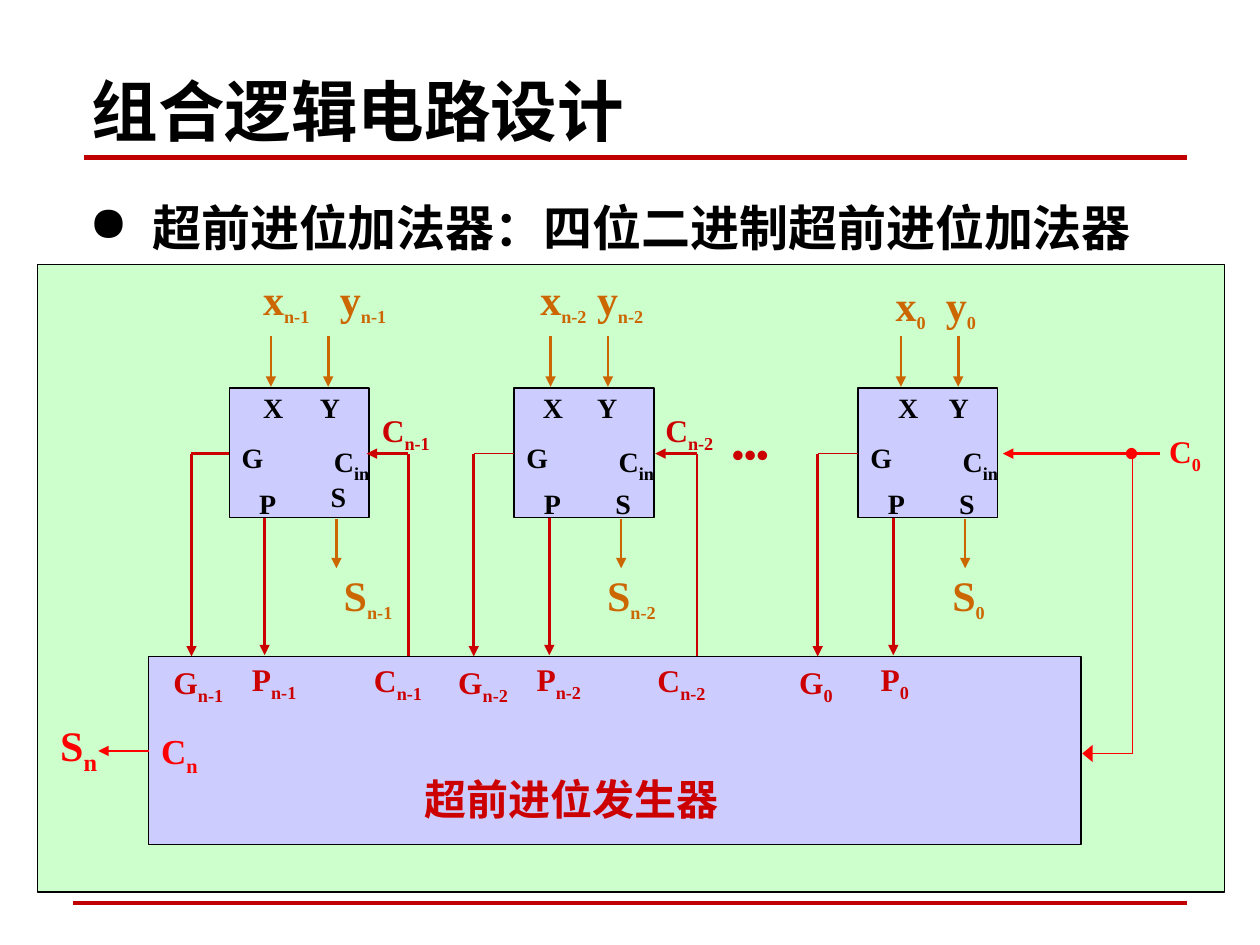
from dataclasses import dataclass

from lxml.etree import SubElement
from pptx import Presentation
from pptx.dml.color import RGBColor
from pptx.enum.shapes import MSO_CONNECTOR, MSO_SHAPE
from pptx.enum.text import MSO_ANCHOR, PP_ALIGN
from pptx.oxml.ns import qn
from pptx.util import Inches, Pt

COLORS = {
    "black": "000000", "rule": "C00000", "board": "CCFFCC", "block": "CCCCFF",
    "signal": "CC6600", "carry": "CC0000", "input": "FF0000",
}
COLUMNS, ROWS = 100, 75
LEFT, CENTER, RIGHT = PP_ALIGN.LEFT, PP_ALIGN.CENTER, PP_ALIGN.RIGHT

prs = Presentation()
prs.slide_width, prs.slide_height = Inches(10), Inches(7.5)
slide = prs.slides.add_slide(prs.slide_layouts[6])
column, row = prs.slide_width / COLUMNS, prs.slide_height / ROWS


@dataclass(frozen=True)
class Stage:
    """One adder bit; positions are columns counted from its left edge."""
    left: float
    index: str
    x_label: float
    y_label: float
    x_pin: float
    x_arrow: float
    y_pin: float
    sum_label: float
    g_wire: float
    g_weight: float = 0.75
    g_align: PP_ALIGN = CENTER
    operand_top: float = 21.2
    sum_top: float = 38.1


@dataclass(frozen=True)
class Carry:
    """Carry wire from the generator up to a stage, in columns."""
    index: str
    wire: float
    stage_edge: float
    upper_label: float
    lower_label: float
    weight: float


STAGES = [
    Stage(18.2, "n-1", 1.7, 7.8, 1.7, 3.3, 6.2, 8.1, -3, g_weight=1.5, sum_top=37.6),
    Stage(40.8, "n-2", 1.1, 5.6, 1.3, 2.9, 5.6, 6.4, -3.2),
    Stage(68.1, "0", 2, 6, 2.2, 3.4, 6.2, 6.5, -3.2, g_align=LEFT, operand_top=21.7),
]
CARRIES = [
    Carry("n-1", 32.4, 29.1, 27.9, 28.7, 1.5),
    Carry("n-2", 55.3, 52, 50.4, 51.2, 1),
]
BLOCK_TOP, BLOCK_BOTTOM, WIRE_ROW, GENERATOR_TOP = 30.8, 41.1, 36, 52.1


def rgb(color: str) -> RGBColor:
    return RGBColor.from_string(COLORS[color])


def add_text(text: str, left: float, top: float, width: float = 8, height: float = 4.7, *,
             sub: str = "", size: float = 18, sub_size: float = 18, color: str = "carry",
             align: PP_ALIGN = LEFT, font: str = "Times New Roman",
             anchor: MSO_ANCHOR = MSO_ANCHOR.TOP, bullet: str = "", spacing: float = 1) -> None:
    box = slide.shapes.add_textbox(
        round(left * column), round(top * row), round(width * column), round(height * row))
    frame = box.text_frame
    frame.word_wrap = True
    frame.vertical_anchor = anchor
    paragraph = frame.paragraphs[0]
    paragraph.alignment = align
    paragraph.line_spacing = spacing
    if bullet:
        properties = paragraph._p.get_or_add_pPr()
        properties.set("marL", str(Inches(0.5)))
        properties.set("indent", str(-Inches(0.5)))
        SubElement(properties, qn("a:buChar")).set("char", bullet)
    for part, points, baseline in ((text, size, 0), (sub, sub_size, -25000)):
        if not part:
            continue
        run = paragraph.add_run()
        run.text = part
        run.font.name, run.font.size, run.font.bold = font, Pt(points), True
        run.font.color.rgb = rgb(color)
        if baseline:
            run._r.get_or_add_rPr().set("baseline", str(baseline))


def add_block(left: float, top: float, width: float, height: float, fill: str,
              line: str = "black", kind: MSO_SHAPE = MSO_SHAPE.RECTANGLE) -> None:
    block = slide.shapes.add_shape(
        kind, round(left * column), round(top * row), round(width * column), round(height * row))
    block.shadow.inherit = False
    block.fill.solid()
    block.fill.fore_color.rgb = rgb(fill)
    block.line.color.rgb = rgb(line)
    block.line.width = Pt(0.75)


def add_wire(x1: float, y1: float, x2: float, y2: float, color: str = "carry",
             weight: float = 1.5, arrow: bool = True, head_width: str = "med") -> None:
    """Draw a straight line, with any arrowhead at its second point."""
    wire = slide.shapes.add_connector(
        MSO_CONNECTOR.STRAIGHT,
        round(x1 * column), round(y1 * row), round(x2 * column), round(y2 * row))
    wire.line.color.rgb = rgb(color)
    wire.line.width = Pt(weight)
    if arrow:
        head = SubElement(wire.line._get_or_add_ln(), qn("a:tailEnd"))
        head.set("type", "triangle")
        head.set("w", head_width)
    SubElement(wire._element.spPr, qn("a:effectLst"))


def draw_stage(stage: Stage) -> None:
    left, index = stage.left, stage.index
    add_block(left, BLOCK_TOP, 11.1, BLOCK_BOTTOM - BLOCK_TOP, "block")

    pins = [
        ("X", "", stage.x_pin, 30.5, 4.3, LEFT),
        ("Y", "", stage.y_pin, 30.5, 4.3, LEFT),
        ("G", "", 0, 34.5, 6.4, LEFT),
        ("C", "in", 5.7, 34.5, 6.4, RIGHT),
        ("P", "", 0.9, 38.1, 4.3, CENTER),
        ("S", "", 6.5, stage.sum_top, 4.3, CENTER),
    ]
    for name, sub, offset, top, width, align in pins:
        add_text(name, left + offset, top, width, 3.5, sub=sub, size=16,
                 color="black", align=align)

    signals = [("x", stage.x_label, stage.operand_top),
               ("y", stage.y_label, stage.operand_top),
               ("S", stage.sum_label, 44.7)]
    for name, offset, top in signals:
        add_text(name, left + offset, top, sub=index, size=24, color="signal")

    for x in (left + stage.x_arrow, left + stage.x_arrow + 4.55):
        add_wire(x, 26.7, x, 30.7, "signal")
    add_wire(left + 8.5, 41.2, left + 8.5, 45.1, "signal")
    add_wire(left + 2.8, BLOCK_BOTTOM, left + 2.8, 52)

    g_wire = left + stage.g_wire
    add_wire(left, WIRE_ROW, g_wire, WIRE_ROW, weight=stage.g_weight, arrow=False)
    add_wire(g_wire, WIRE_ROW, g_wire, GENERATOR_TOP)
    add_text("G", left - 5.65, 52.1, 6.4, 3.8, sub=index, align=stage.g_align)
    add_text("P", left + 0.8, 51.9, 7.2, 3.8, sub=index)


def draw_carry(carry: Carry) -> None:
    add_wire(carry.wire, GENERATOR_TOP, carry.wire, WIRE_ROW, weight=carry.weight, arrow=False)
    add_wire(carry.wire, WIRE_ROW, carry.stage_edge, WIRE_ROW)
    add_text("C", carry.upper_label, 32.1, 7.2, 3.8, sub=carry.index, align=RIGHT)
    add_text("C", carry.lower_label, 51.95, 6.4, 3.8, sub=carry.index)


def draw_generator() -> None:
    add_block(11.8, GENERATOR_TOP, 74, 14.9, "block")
    add_text("超前进位发生器", 32.7, 60.9, 25.8, size=24)
    add_text("C", 11.8, 57.4, 8, 4.1, sub="n", size=20, sub_size=20, color="input")
    add_text("S", 3.8, 56.6, sub="n", size=24, sub_size=24, color="input")
    add_wire(11.8, 59.6, 7.8, 59.6, "input")


def draw_first_carry() -> None:
    add_wire(92.1, WIRE_ROW, 79.6, WIRE_ROW, "input")
    add_wire(89.9, WIRE_ROW, 89.9, 59.8, "input", 0.75, arrow=False)
    add_wire(89.9, 59.8, 85.9, 59.8, "input", 0.75, head_width="lg")
    add_block(89.4, 35.6, 0.8, 0.8, "input", "input", MSO_SHAPE.OVAL)
    add_text("C", 89.9, 33.8, 6.4, 3.8, sub="0", color="input", align=RIGHT)


def main() -> None:
    add_wire(6.7, 12.5, 94.2, 12.5, "rule", 3, arrow=False)
    add_wire(5.8, 71.7, 94.2, 71.7, "rule", 2.25, arrow=False)
    add_text("组合逻辑电路设计", 6.3, 3.3, 87.5, 9.1, size=38, color="black",
             font="Cambria", anchor=MSO_ANCHOR.BOTTOM)
    add_text("超前进位加法器：四位二进制超前进位加法器", 6.1, 14, 89.5, 6.4, size=28,
             color="black", bullet="●", spacing=1.25)
    add_block(3, 21, 94.2, 49.8, "board")
    draw_generator()
    for stage in STAGES:
        draw_stage(stage)
    for carry in CARRIES:
        draw_carry(carry)
    draw_first_carry()
    add_text("•••", 57.1, 33.8, 8.9, 4.1, size=20)
    prs.save("out.pptx")


if __name__ == "__main__":
    main()
